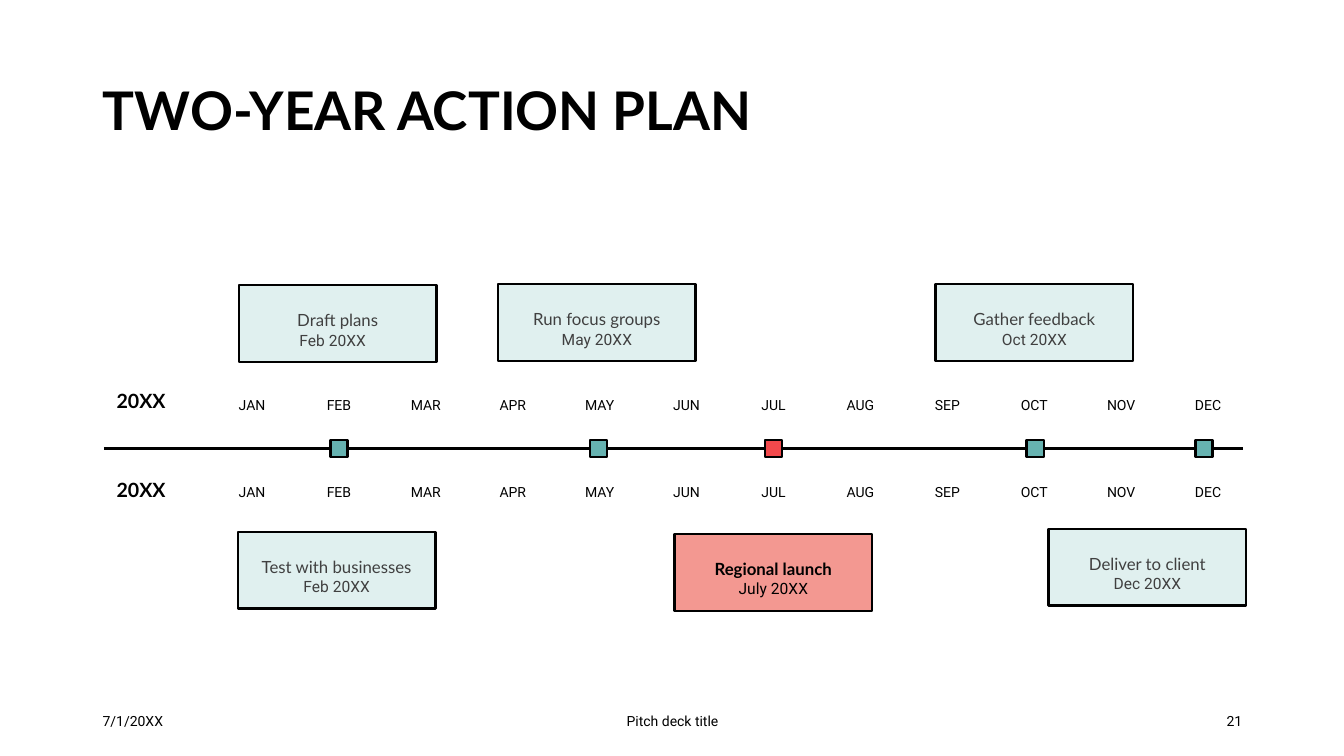
"""Build a two-year action plan timeline slide."""
from pptx import Presentation, util as u
from pptx.dml.color import RGBColor
from pptx.enum import shapes, text
from pptx.oxml.ns import qn
from lxml import etree

BLACK = RGBColor(0, 0, 0)
GREY = RGBColor(0x40, 0x40, 0x40)
MINT = RGBColor(0xE0, 0xF0, 0xEF)
TEAL = RGBColor(0x66, 0xB2, 0xB0)
ROSE = RGBColor(0xF3, 0x98, 0x91)
RED = RGBColor(0xF2, 0x49, 0x4C)

TITLE = "TWO-YEAR ACTION PLAN"
MONTHS = "JAN FEB MAR APR MAY JUN JUL AUG SEP OCT NOV DEC".split()
YEARS = [("20XX", 3.74, 3.9), ("20XX", 4.62, 4.77)]
# fields
STEPS = [
    ("Draft plans", "Feb 20XX", 2.37, 2.83, -0.05),
    ("Run focus groups", "May 20XX", 4.94, 2.82, 0),
    ("Gather feedback", "Oct 20XX", 9.28, 2.82, 0),
    ("Test with businesses", "Feb 20XX", 2.36, 5.28, 0),
    ("Regional launch", "July 20XX", 6.69, 5.3, 0),
    ("Deliver to client", "Dec 20XX", 10.4, 5.25, 0),
]
LAUNCH = "Regional launch"
MARKS = [("FEB", 0), ("MAY", -0.01), ("JUL", 0), ("OCT", 0.01), ("DEC", -0.04)]
LEFT, MID, RIGHT = text.PP_ALIGN.LEFT, text.PP_ALIGN.CENTER, text.PP_ALIGN.RIGHT
FOOT = [("7/1/20XX", 0.92, 3, LEFT), ("Pitch deck title", 4.42, 4.5, MID),
        ("21", 9.42, 3, RIGHT)]

WIDE, HIGH = 13.33, 7.5
FIRST, STEP = 2.5, 0.862
AXIS = 4.45
CARD, TALL = 1.96, 0.76
DATE, DOT = 1.85, 0.17


def write(shape, words, size, face="Roboto", color=BLACK, bold=False,
          align=MID, space=0.9, middle=False):
    """Put one formatted paragraph in a shape."""
    frame = shape.text_frame
    frame.word_wrap = True
    frame.auto_size = text.MSO_AUTO_SIZE.NONE
    anchor = text.MSO_ANCHOR
    frame.vertical_anchor = anchor.MIDDLE if middle else anchor.TOP
    para = frame.paragraphs[0]
    para.alignment, para.line_spacing = align, space
    run = para.add_run()
    run.text = words
    for key, val in dict(name=face, size=u.Pt(size), bold=bold).items():
        setattr(run.font, key, val)
    run.font.color.rgb = color


def label(slide, box, words, size, **style):
    """Add a text box."""
    write(slide.shapes.add_textbox(*map(u.Inches, box)), words, size, **style)


def block(slide, box, fill):
    """Add an outlined rectangle."""
    rect = slide.shapes.add_shape(shapes.MSO_SHAPE.RECTANGLE,
                                  *map(u.Inches, box))
    rect.shadow.inherit = False
    rect.fill.solid()
    rect.fill.fore_color.rgb = fill
    rect.line.color.rgb = BLACK
    rect.line.width = u.Pt(1.75)
    return rect


def card(slide, name, date, left, top, shift):
    """Add a step card with its date."""
    main = name == LAUNCH
    ink = BLACK if main else GREY
    rect = block(slide, (left, top, CARD, TALL), ROSE if main else MINT)
    for side, val in dict(left=0.1, top=0.04, right=0.1, bottom=0.05).items():
        setattr(rect.text_frame, "margin_" + side, u.Inches(val))
    write(rect, name, 12, face="Lato", color=ink, bold=main, space=2.0)
    place = left + (CARD - DATE) / 2 + shift
    label(slide, (place, top + 0.45, DATE, 0.25), date, 11.1,
          color=ink, space=0.7)


def main():
    """Build and save the slide."""
    deck = Presentation()
    deck.slide_width, deck.slide_height = u.Inches(WIDE), u.Inches(HIGH)
    slide = deck.slides.add_slide(deck.slide_layouts[5])
    head = slide.shapes.title
    sides = dict(left=0.92, top=0.4, width=11.5, height=1.45)
    for key, val in sides.items():
        setattr(head, key, u.Inches(val))
    write(head, TITLE, 38, face="Lato", bold=True, align=LEFT, middle=True)

    axis = slide.shapes.add_connector(
        shapes.MSO_CONNECTOR.STRAIGHT,
        *map(u.Inches, (1.03, AXIS, 12.33, AXIS)))
    axis.line.color.rgb = BLACK
    axis.line.width = u.Pt(2)
    etree.SubElement(axis._element.spPr, qn("a:effectLst"))

    for year, top, row in YEARS:
        label(slide, (1, top, 0.8, 0.5), year, 14, face="Lato", bold=True,
              middle=True)
        for col, month in enumerate(MONTHS):
            label(slide, (FIRST + col * STEP - 0.35, row, 0.7, 0.3), month, 10)
    for month, shift in MARKS:
        left = FIRST + MONTHS.index(month) * STEP + shift - DOT / 2
        block(slide, (left, AXIS - DOT / 2, DOT, DOT),
              RED if month == "JUL" else TEAL)
    for step in STEPS:
        card(slide, *step)
    for words, left, width, align in FOOT:
        label(slide, (left, 6.95, width, 0.4), words, 10, align=align,
              space=1.0, middle=True)
    deck.save("out.pptx")


if __name__ == "__main__":
    main()
